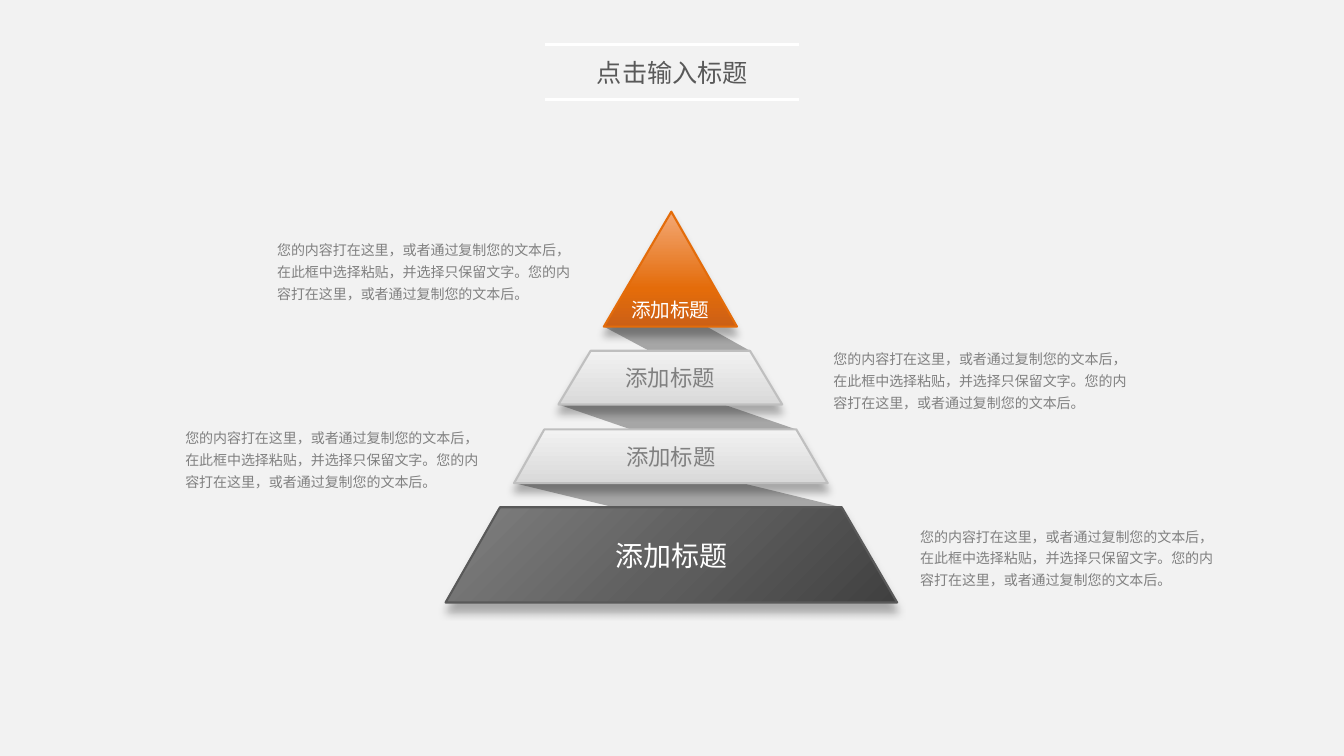
"""Build a slide with a four-tier pyramid, folded ribbons and side notes."""
from lxml.etree import SubElement
from pptx import Presentation
from pptx.dml.color import RGBColor
from pptx.enum.shapes import MSO_CONNECTOR
from pptx.enum.text import MSO_ANCHOR, MSO_AUTO_SIZE, PP_ALIGN
from pptx.oxml.ns import qn
from pptx.util import Inches, Pt

THEME = {
    "font": "Noto Sans CJK SC",
    "background": "F2F2F2", "rule": "FFFFFF", "ribbon": "A6A6A6",
    "title": "595959", "note": "808080", "shadow": "000000",
    "title_size": 18, "note_size": 10,
    "orange": {"stops": [(0, "CC6016"), (33, "E46C0A"), (100, "F3A875")],
               "angle": 90, "line": "E46C0A", "text": "FFFFFF", "size": 14},
    "light": {"stops": [(0, "D9D9D9"), (100, "F2F2F2")],
              "angle": 90, "line": "BFBFBF", "text": "808080", "size": 16},
    "dark": {"stops": [(0, "404040"), (47, "5E5E5E"), (100, "808080")],
             "angle": 135, "line": "595959", "text": "FFFFFF", "size": 20},
}
NOTE = ("您的内容打在这里，或者通过复制您的文本后，在此框中选择粘贴，"
        "并选择只保留文字。您的内容打在这里，或者通过复制您的文本后。")

presentation = Presentation()
presentation.slide_width, presentation.slide_height = Inches(13.333), Inches(7.5)
column, row = presentation.slide_width / 100, presentation.slide_height / 100
slide = presentation.slides.add_slide(presentation.slide_layouts[6])
slide.background.fill.solid()
slide.background.fill.fore_color.rgb = RGBColor.from_string(THEME["background"])


def draw_outline(points):
    """Add a closed polygon whose points are percentages of the slide."""
    corners = [(round(x * column), round(y * row)) for x, y in dict.fromkeys(points)]
    builder = slide.shapes.build_freeform(*corners[0])
    builder.add_line_segments(corners[1:], close=True)
    shape = builder.convert_to_shape()
    shape.shadow.inherit = False
    return shape


def write_text(shape, text, size, color, **frame_format):
    """Fill a shape with one styled paragraph and return the paragraph."""
    for name, value in frame_format.items():
        setattr(shape.text_frame, name, value)
    paragraph = shape.text_frame.paragraphs[0]
    run = paragraph.add_run()
    run.text = text
    for name, value in {"size": Pt(size), "name": THEME["font"]}.items():
        setattr(run.font, name, value)
    run.font.color.rgb = RGBColor.from_string(color)
    SubElement(run.font._element, qn("a:ea"), typeface=THEME["font"])
    return paragraph


for y in (13.2, 5.87):
    rule = slide.shapes.add_connector(
        MSO_CONNECTOR.STRAIGHT, *map(round, (40.58 * column, y * row, 59.48 * column, y * row)))
    rule.line.width = Pt(2.25)
    rule.line.color.rgb = RGBColor.from_string(THEME["rule"])
    SubElement(rule._element.spPr, qn("a:effectLst"))

# top, bottom, then the left and right ends of the top and bottom edges
tiers = [
    (28, 43.2, 49.95, 49.95, 44.93, 54.83, "orange", MSO_ANCHOR.BOTTOM),
    (46.4, 53.5, 43.95, 55.8, 41.55, 58.2, "light", MSO_ANCHOR.MIDDLE),
    (56.8, 63.9, 40.5, 59.25, 38.25, 61.58, "light", MSO_ANCHOR.MIDDLE),
    (67.1, 79.7, 37.2, 62.63, 33.15, 66.75, "dark", MSO_ANCHOR.MIDDLE),
]
ribbon_folds = [(52.58, 48.3), (53.85, 46.95), (55.2, 45.68)]

for upper, lower, (fold_right, fold_left) in zip(tiers, tiers[1:], ribbon_folds):
    ribbon = draw_outline([(upper[4], upper[1]), (fold_right, upper[1]),
                           (lower[3], lower[0]), (fold_left, lower[0])])
    ribbon.fill.solid()
    ribbon.fill.fore_color.rgb = RGBColor.from_string(THEME["ribbon"])
    ribbon.line.fill.background()

for left, top in [(67.73, 68.53), (13.05, 55.47), (61.28, 45.07), (19.88, 30.67)]:
    note = slide.shapes.add_textbox(
        *map(round, (left * column, top * row, 24.23 * column, 10.13 * row)))
    paragraph = write_text(note, NOTE, THEME["note_size"], THEME["note"],
                           word_wrap=True, auto_size=MSO_AUTO_SIZE.SHAPE_TO_FIT_TEXT)
    paragraph.line_spacing = 1.3

for top, bottom, top_left, top_right, bottom_left, bottom_right, style_name, anchor in tiers:
    style = THEME[style_name]
    tier = draw_outline([(bottom_left, bottom), (top_left, top),
                         (top_right, top), (bottom_right, bottom)])
    tier.fill.gradient()
    tier.fill.gradient_angle = style["angle"]
    properties = tier._element.spPr
    stop_list = properties.find(".//" + qn("a:gsLst"))
    stop_list.clear()
    for position, color in style["stops"]:
        stop = SubElement(stop_list, qn("a:gs"), pos=str(position * 1000))
        SubElement(stop, qn("a:srgbClr"), val=color)
    tier.line.width = Pt(1.5)
    tier.line.color.rgb = RGBColor.from_string(style["line"])
    shadow = SubElement(properties.find(qn("a:effectLst")), qn("a:outerShdw"),
                        blurRad=str(Pt(6)), dist=str(Pt(6)), dir=str(90 * 60000),
                        algn="t", rotWithShape="0")
    shadow_color = SubElement(shadow, qn("a:srgbClr"), val=THEME["shadow"])
    SubElement(shadow_color, qn("a:alpha"), val="30000")
    paragraph = write_text(tier, "添加标题", style["size"], style["text"],
                           word_wrap=True, vertical_anchor=anchor)
    paragraph.alignment = PP_ALIGN.CENTER

title = slide.shapes.add_textbox(
    *map(round, (43.58 * column, 6.93 * row, 12.9 * column, 5.33 * row)))
paragraph = write_text(title, "点击输入标题", THEME["title_size"], THEME["title"],
                       word_wrap=False, auto_size=MSO_AUTO_SIZE.SHAPE_TO_FIT_TEXT)
paragraph.alignment = PP_ALIGN.CENTER

presentation.save("out.pptx")
